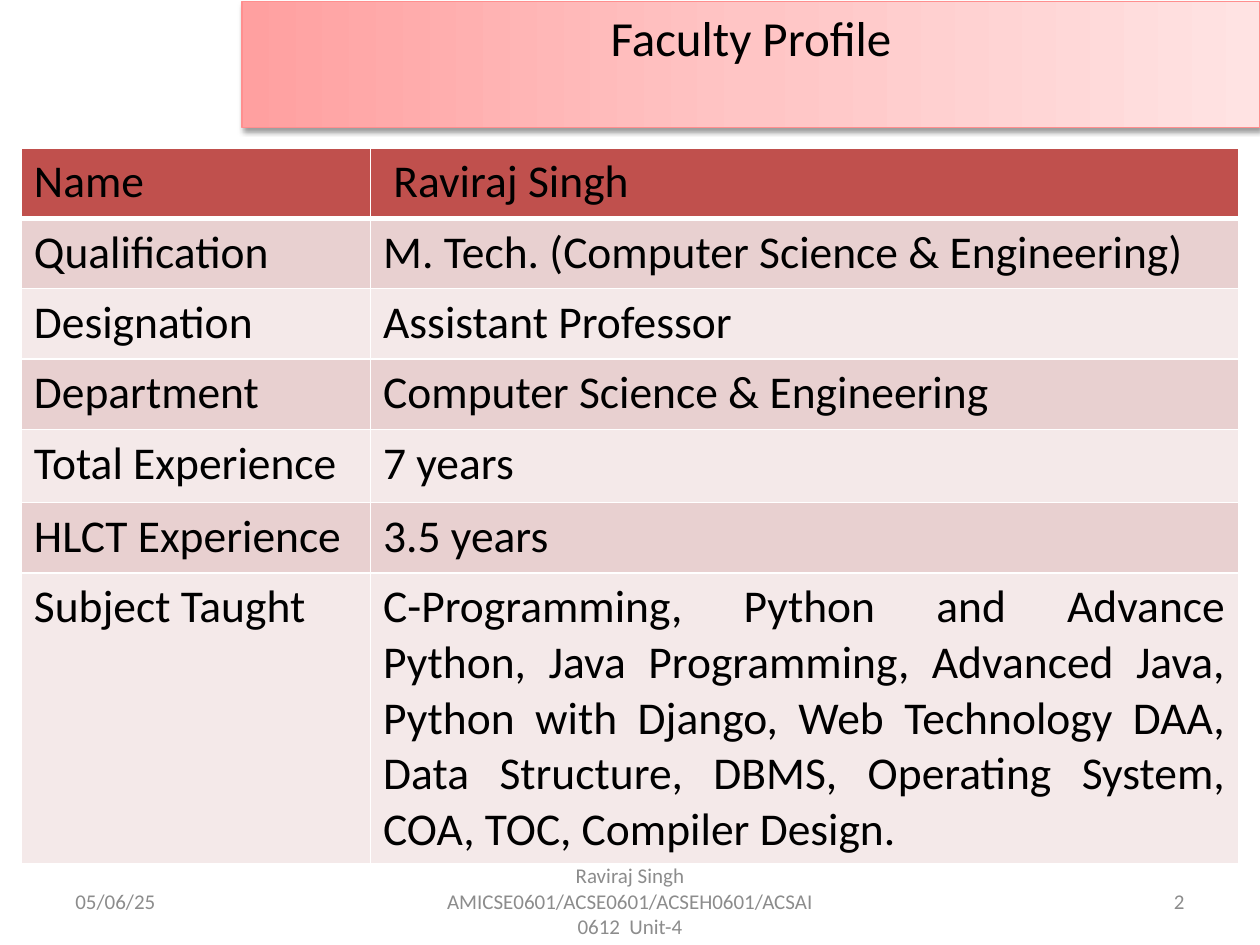
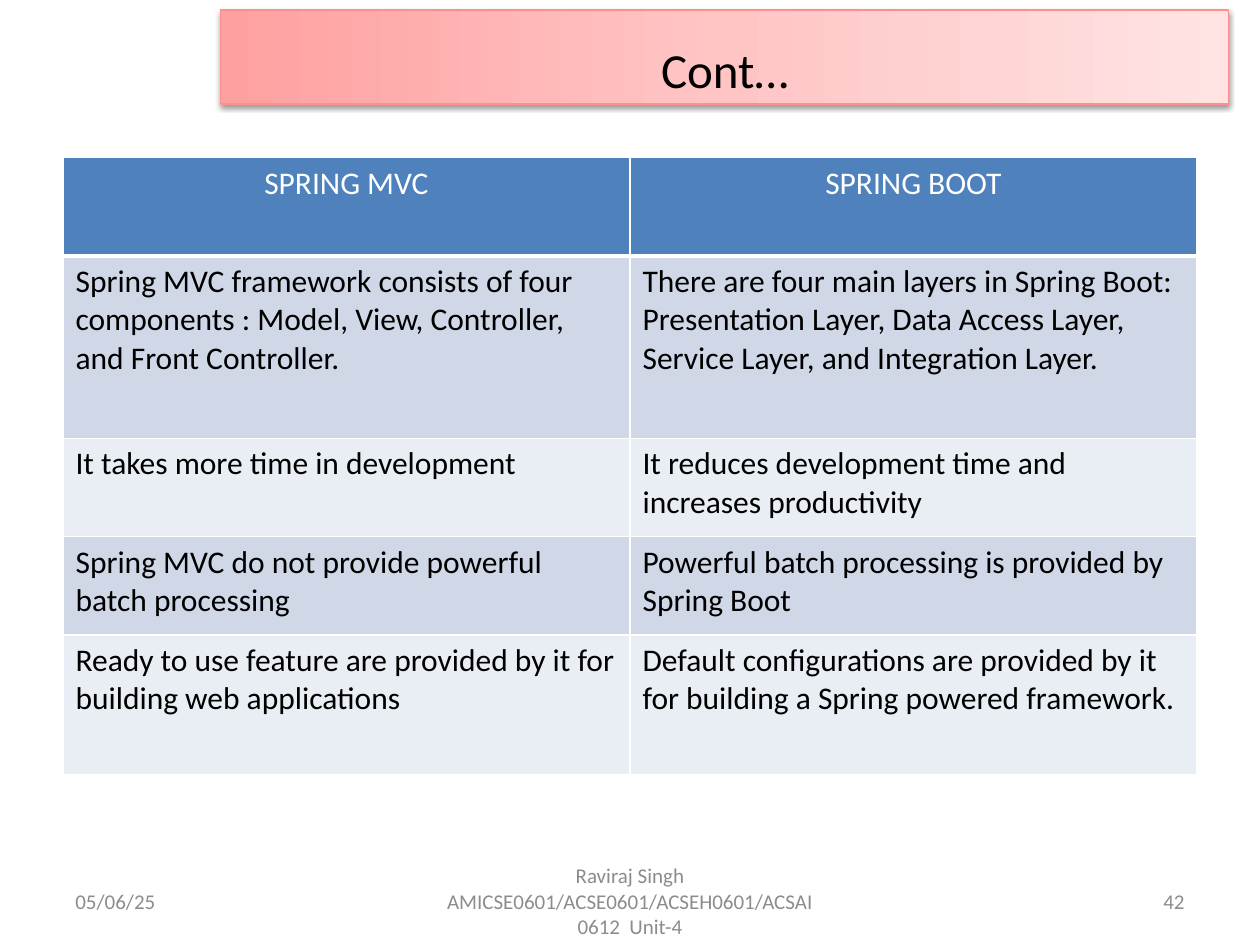
from copy import deepcopy
from dataclasses import dataclass

from lxml.etree import SubElement
from pptx import Presentation
from pptx.dml.color import RGBColor
from pptx.enum.text import MSO_ANCHOR, MSO_AUTO_SIZE, PP_ALIGN
from pptx.oxml.ns import qn
from pptx.util import Cm, Pt

# Content
FACULTY = {
    "title": "Faculty Profile",
    "band": (4.88, 0.03, 20.52, 2.54),
    "title_anchor": MSO_ANCHOR.TOP,
    "rows": [
        ("Name", " Raviraj Singh"),
        ("Qualification", "M. Tech. (Computer Science & Engineering)"),
        ("Designation", "Assistant Professor"),
        ("Department", "Computer Science & Engineering"),
        ("Total Experience", "7 years"),
        ("HLCT Experience", "3.5 years"),
        ("Subject Taught",
         "C-Programming, Python and Advance Python, Java Programming, "
         "Advanced Java, Python with Django, Web Technology DAA, "
         "Data Structure, DBMS, Operating System, COA, TOC, Compiler Design."),
    ],
    "corner": (0.43, 2.98),
    "widths": (7.04, 17.5),
    "heights": (1.42, 1.42, 1.42, 1.42, 1.47, 1.42, 5.84),
    "palette": "red",
    "size": "profile",
    "header_align": PP_ALIGN.LEFT,
    "justified": (6, 1),
    "number": "2",
}
COMPARISON = {
    "title": "Cont…",
    "band": (4.45, 0.2, 20.32, 1.9),
    "title_anchor": MSO_ANCHOR.BOTTOM,
    "rows": [
        ("SPRING MVC", "SPRING BOOT"),
        ("Spring MVC framework consists of four components : Model, View, "
         "Controller, and Front Controller.",
         "There are four main layers in Spring Boot: Presentation Layer, "
         "Data Access Layer, Service Layer, and Integration Layer."),
        ("It takes more time in development",
         "It reduces development time and increases productivity"),
        ("Spring MVC do not provide powerful batch processing",
         "Powerful batch processing is provided by Spring Boot"),
        ("Ready to use feature are provided by it for building web applications",
         "Default configurations are provided by it for building a Spring "
         "powered framework."),
    ],
    "corner": (1.27, 3.18),
    "widths": (11.43, 11.43),
    "heights": (1.98, 3.68, 1.98, 1.98, 2.82),
    "palette": "blue",
    "size": "comparison",
    "header_align": PP_ALIGN.CENTER,
    "justified": None,
    "number": "42",
}
DATE = "05/06/25"
COURSE = "Raviraj Singh AMICSE0601/ACSE0601/ACSEH0601/ACSAI0612  Unit-4"


@dataclass(frozen=True)
class Theme:
    font = "Calibri"
    ink, muted, rule, band_line = "000000", "8C8C8C", "FFFFFF", "FF8F8F"
    band_stops = ((0, "FFA0A0"), (0.5, "FFC5C5"), (1, "FFE3E3"))
    # header fill, header text, odd rows, even rows
    palettes = {
        "red": ("C0504D", "000000", "E8D0D0", "F4E9E9"),
        "blue": ("4F81BD", "FFFFFF", "D0D8E8", "E9EDF4"),
    }
    sizes = {"title": 28, "profile": 26, "comparison": 18, "footer": 12}


THEME = Theme()
# left, width, alignment of the date, course and slide number
FOOTER_SLOTS = ((1.27, 5.93, PP_ALIGN.LEFT),
                (8.68, 8.04, PP_ALIGN.CENTER),
                (18.2, 5.93, PP_ALIGN.RIGHT))
FOOTER_TOP, FOOTER_HEIGHT = 17.65, 1.02


def assign(target, values):
    for attribute, value in values.items():
        setattr(target, attribute, value)


def write(frame, text, size, color, align):
    frame.text = text
    paragraph = frame.paragraphs[0]
    paragraph.alignment = align
    font = paragraph.runs[0].font
    assign(font, {"name": THEME.font, "size": Pt(THEME.sizes[size]), "bold": False})
    font.color.rgb = RGBColor.from_string(color)


# Title band
def add_band(slide, content):
    title = slide.shapes.title
    assign(title, dict(zip(("left", "top", "width", "height"),
                           map(Cm, content["band"]))))
    write(title.text_frame, content["title"], "title", THEME.ink, PP_ALIGN.CENTER)
    assign(title.text_frame, {"vertical_anchor": content["title_anchor"],
                              "auto_size": MSO_AUTO_SIZE.NONE, "word_wrap": True})
    title.fill.gradient()
    title.fill.gradient_angle = 0
    properties = title._element.spPr
    stops = properties.find(".//" + qn("a:gsLst"))
    stops.insert(1, deepcopy(stops[0]))
    for stop, (position, color) in zip(title.fill.gradient_stops, THEME.band_stops):
        stop.position = position
        stop.color.rgb = RGBColor.from_string(color)
    title.line.width = Pt(0.75)
    title.line.color.rgb = RGBColor.from_string(THEME.band_line)
    effects = SubElement(properties, qn("a:effectLst"))
    shadow = SubElement(effects, qn("a:outerShdw"), blurRad=str(Pt(3.1)),
                        dist=str(Pt(1.6)), dir="5400000", rotWithShape="0")
    black = SubElement(shadow, qn("a:srgbClr"), val=THEME.ink)
    SubElement(black, qn("a:alpha"), val="38000")


# Table
def add_borders(cell, row):
    widths = {"L": 1, "R": 1, "T": 3 if row == 1 else 1, "B": 3 if row == 0 else 1}
    properties = cell._tc.get_or_add_tcPr()
    for side, width in widths.items():
        border = SubElement(properties, qn(f"a:ln{side}"), w=str(Pt(width)))
        fill = SubElement(border, qn("a:solidFill"))
        SubElement(fill, qn("a:srgbClr"), val=THEME.rule)


def add_grid(slide, content):
    rows, widths, heights = content["rows"], content["widths"], content["heights"]
    grid = slide.shapes.add_table(
        len(rows), len(widths), *map(Cm, content["corner"]),
        Cm(sum(widths)), Cm(sum(heights))).table
    for column, width in zip(grid.columns, widths):
        column.width = Cm(width)
    for line, height in zip(grid.rows, heights):
        line.height = Cm(height)
    header_fill, header_ink, odd, even = THEME.palettes[content["palette"]]
    for r, texts in enumerate(rows):
        for c, text in enumerate(texts):
            cell = grid.cell(r, c)
            align = PP_ALIGN.LEFT if r else content["header_align"]
            if (r, c) == content["justified"]:
                align = PP_ALIGN.JUSTIFY
            write(cell.text_frame, text, content["size"],
                  THEME.ink if r else header_ink, align)
            add_borders(cell, r)
            cell.fill.solid()
            cell.fill.fore_color.rgb = RGBColor.from_string(
                (odd if r % 2 else even) if r else header_fill)


# Footer
def add_footer(slide, number):
    for text, (left, width, align) in zip((DATE, COURSE, number), FOOTER_SLOTS):
        frame = slide.shapes.add_textbox(
            Cm(left), Cm(FOOTER_TOP), Cm(width), Cm(FOOTER_HEIGHT)).text_frame
        assign(frame, {"word_wrap": True, "auto_size": MSO_AUTO_SIZE.NONE,
                       "vertical_anchor": MSO_ANCHOR.MIDDLE})
        write(frame, text, "footer", THEME.muted, align)


def main():
    deck = Presentation()
    assign(deck, {"slide_width": Cm(25.4), "slide_height": Cm(19.05)})
    title_only = deck.slide_layouts[5]
    for content in (FACULTY, COMPARISON):
        slide = deck.slides.add_slide(title_only)
        add_band(slide, content)
        add_grid(slide, content)
        add_footer(slide, content["number"])
    deck.save("out.pptx")


if __name__ == "__main__":
    main()
